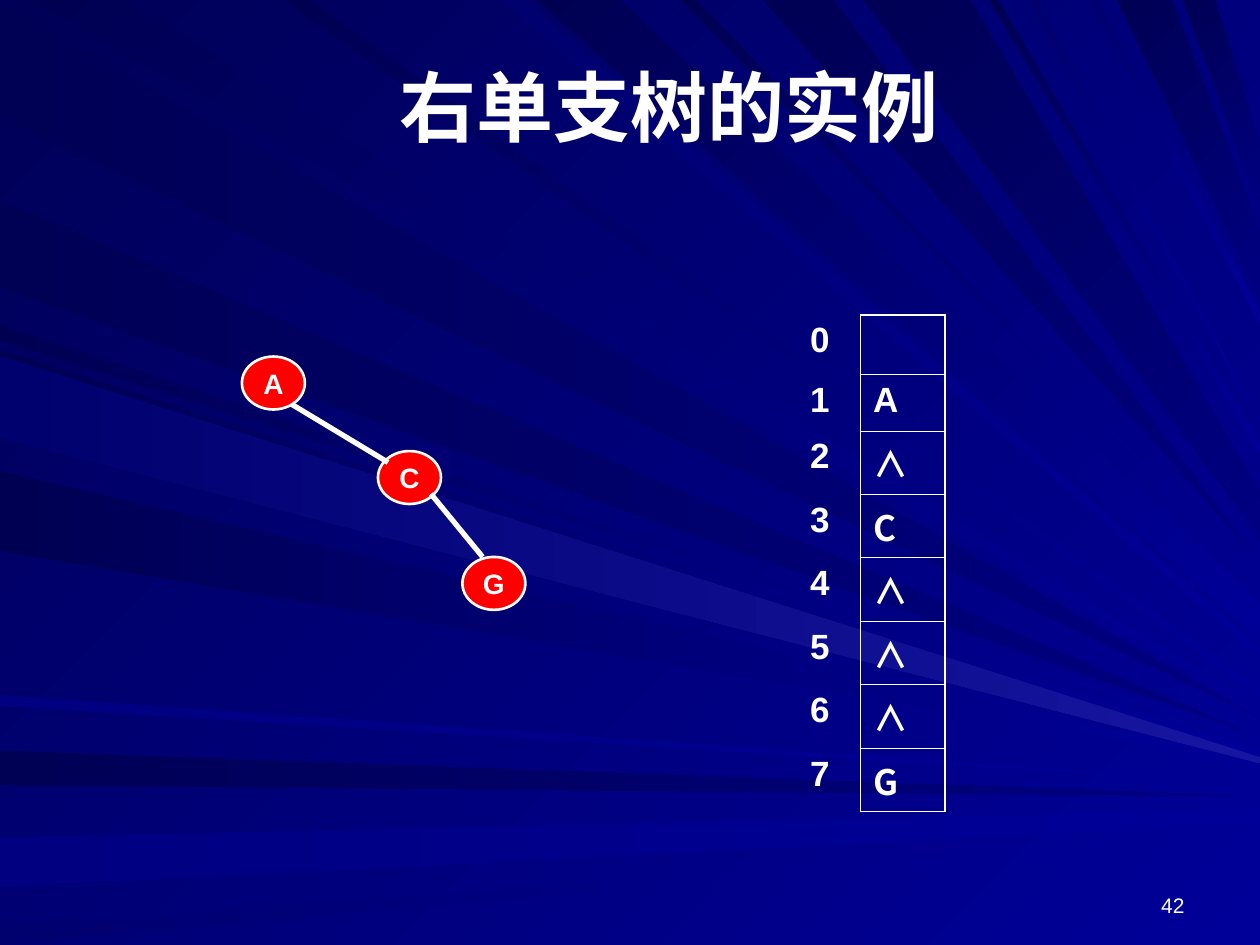
import pptx
import pptx.dml.color
import pptx.enum.shapes
import pptx.enum.text
import pptx.oxml.ns
import pptx.util
from lxml import etree

Inches, Pt = pptx.util.Inches, pptx.util.Pt
RGB = pptx.dml.color.RGBColor.from_string
ALIGN, ANCHOR = pptx.enum.text.PP_ALIGN, pptx.enum.text.MSO_ANCHOR
qn = pptx.oxml.ns.qn
LATIN, CJK = "Arial", "Noto Sans CJK SC"
COLORS = {"white": "FFFFFF", "node": "FF0000"}
GRADIENTS = {
    "back": ("000099", "000057"),
    "strong": ("000099", "000053"),
    "soft": ("000099", "00006E"),
    "faint": ("000099", "000080"),
    "dim": ("000080", "000055"),
    "glow": ("1616A1", "00006E"),
}


def paint(fill, name, angle):
    fill.gradient()
    fill.gradient_angle = angle
    for stop, color in zip(fill.gradient_stops, GRADIENTS[name]):
        stop.color.rgb = RGB(color)


def style(p, text, size, name=LATIN, bold=True, align=ALIGN.LEFT):
    p.text = text
    p.alignment = align
    p.font.size, p.font.name, p.font.bold = Pt(size), name, bold
    p.font.color.rgb = RGB(COLORS["white"])
    if name == CJK:
        p.font._element.find(qn("a:latin")).addnext(etree.Element(qn("a:ea"), typeface=CJK))


prs = pptx.Presentation()
prs.slide_width, prs.slide_height = Inches(10), Inches(7.5)
s = prs.slides.add_slide(prs.slide_layouts[5])
paint(s.background.fill, "back", 135)

rays = [
    ("left", "dim", 0.02, 0.93, 5.7, 0),
    ("top", "strong", 0.26, 1.01, 5.63, 0),
    ("left", "dim", 5.96, 6.23, 6.32, 0),
    ("left", "faint", 6.65, 7.04, 6.43, 0.1),
    ("left", "soft", 7.35, 7.5, 6.62, 0),
    ("left", "strong", 2.58, 2.7, 5.89, 0),
    ("left", "dim", 1.59, 2.28, 5.85, 0),
    ("top", "soft", 3.98, 4.16, 5.15, 0.06),
    ("top", "strong", 4.26, 4.92, 4.79, 0.28),
    ("top", "strong", 5.4, 5.52, 4.63, 0),
    ("top", "dim", 6.06, 6.61, 4.46, 0),
    ("top", "dim", 8.87, 9.3, 1.83, 0.54),
    ("top", "dim", 9.39, 9.64, 1.14, 0.53),
    ("left", "strong", 2.78, 3.42, 5.96, 0.06),
    ("left", "strong", 3.74, 4.37, 6.06, 0),
    ("left", "faint", 5.52, 5.6, 6.22, 0),
    ("top", "strong", 2.25, 2.47, 5.47, 0.05),
    ("top", "dim", 6.86, 7.7, 3.9, 0.38),
    ("top", "strong", 7.85, 7.92, 3.54, 0.06),
    ("top", "soft", 8.15, 8.24, 3.36, 0),
    ("top", "soft", 8.65, 8.72, 2.49, 0.09),
    ("left", "glow", 2.83, 3.47, 6.01, 0.05),
]
for side, gradient, near, far, end, spread in rays:
    if side == "left":
        points = [(0, near), (10, end), (10, end + spread), (0, far)]
    else:
        points = [(far, 0), (10, end), (10, end + spread), (near, 0)]
    corners = [(Inches(x), Inches(y)) for x, y in points]
    builder = s.shapes.build_freeform(*corners[0])
    builder.add_line_segments(corners[1:], close=True)
    sp = builder.convert_to_shape()
    sp.shadow.inherit = False
    sp.line.fill.background()
    paint(sp.fill, gradient, 180 if side == "left" else 135)

title = s.shapes.title
title.left, title.top, title.width, title.height = Inches(1.38), Inches(0.47), Inches(8), Inches(0.74)
title.text_frame.vertical_anchor = ANCHOR.MIDDLE
style(title.text_frame.paragraphs[0], "右单支树的实例 ", 44, CJK, align=ALIGN.CENTER)
s.shapes._spTree.append(title._element)

nodes = {}
for label, x, y in [("C", 3, 3.58), ("G", 3.67, 4.42), ("A", 1.92, 2.83)]:
    node = s.shapes.add_shape(
        pptx.enum.shapes.MSO_SHAPE.OVAL, Inches(x), Inches(y), Inches(0.5), Inches(0.42))
    node.shadow.inherit = False
    node.fill.solid()
    node.fill.fore_color.rgb = RGB(COLORS["node"])
    node.line.color.rgb = RGB(COLORS["white"])
    node.line.width = Pt(1.5)
    tf = node.text_frame
    tf.word_wrap = False
    tf.vertical_anchor = ANCHOR.MIDDLE
    style(tf.paragraphs[0], label, 16, align=ALIGN.CENTER)
    nodes[label] = node

for x1, y1, x2, y2 in [(2.25, 3.17, 3.08, 3.67), (3.42, 3.92, 3.83, 4.42)]:
    edge = s.shapes.add_connector(
        pptx.enum.shapes.MSO_CONNECTOR.STRAIGHT, Inches(x1), Inches(y1), Inches(x2), Inches(y2))
    edge.line.color.rgb = RGB(COLORS["white"])
    edge.line.width = Pt(3)
    etree.SubElement(edge._element.spPr, qn("a:effectLst"))
s.shapes._spTree.append(nodes["A"]._element)

values = ["", "A", "∧", "C", "∧", "∧", "∧", "G"]
last = len(values) - 1
frame = s.shapes.add_table(len(values), 2, Inches(6.33), Inches(2.5), Inches(1.17), Inches(3.54))
table = frame.table
table.first_row = table.horz_banding = False
table._tbl.tblPr.find(qn("a:tableStyleId")).text = "{2D5ABB26-0587-4C30-8999-92F81FD0307C}"
table.columns[0].width, table.columns[1].width = Inches(0.5), Inches(0.67)
thin, thick = Pt(0.45), Pt(1.08)
for i, value in enumerate(values):
    table.rows[i].height = Inches({0: 0.47, 1: 0.45}.get(i, 0.44))
    borders = [
        {"R": thin},
        {"L": thin, "R": thick, "T": thin if i else thick, "B": thick if i == last else thin},
    ]
    for j, text in enumerate([str(i), value]):
        cell = table.cell(i, j)
        if text:
            style(cell.text_frame.paragraphs[0], text, 20, CJK if j and i > 1 else LATIN)
        tcPr = cell._tc.get_or_add_tcPr()
        for side, width in borders[j].items():
            ln = etree.SubElement(tcPr, qn("a:ln" + side), w=str(width))
            solid = etree.SubElement(ln, qn("a:solidFill"))
            etree.SubElement(solid, qn("a:srgbClr"), val=COLORS["white"])
        cell.fill.background()

number = s.shapes.add_textbox(Inches(7.17), Inches(6.83), Inches(2.33), Inches(0.5))
tf = number.text_frame
tf.word_wrap = True
tf.vertical_anchor = ANCHOR.BOTTOM
style(tf.paragraphs[0], "42", 12, bold=False, align=ALIGN.RIGHT)

prs.save("out.pptx")
